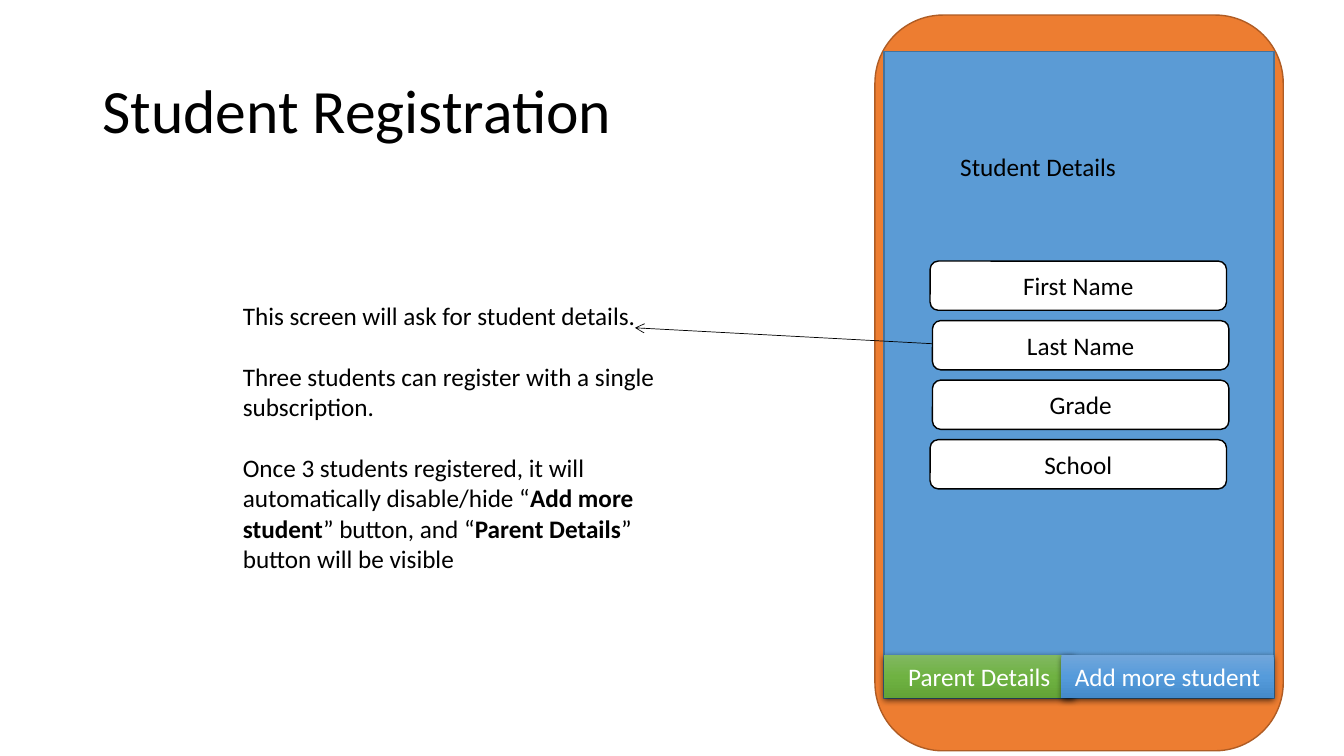
from dataclasses import dataclass

from lxml.etree import SubElement
from pptx import Presentation
from pptx.dml.color import RGBColor
from pptx.enum.shapes import MSO_CONNECTOR, MSO_SHAPE
from pptx.enum.text import MSO_ANCHOR, PP_ALIGN
from pptx.oxml.ns import qn
from pptx.util import Cm, Pt


@dataclass(frozen=True)
class Theme:
    font: str = "Calibri"
    title_size: int = 44
    body_size: int = 18
    paragraph_gap: int = 22
    black: str = "000000"
    white: str = "FFFFFF"
    phone: str = "ED7D31"
    phone_line: str = "AF5C24"
    screen: str = "5B9BD5"
    screen_line: str = "43739E"
    green: tuple = ("81B861", "6FB242", "62A336")
    blue: tuple = ("71A6DB", "559BDB", "448ACA")


class SlideBuilder:
    def __init__(self, slide, theme):
        self.slide = slide
        self.theme = theme

    def style_text(self, para, size, color):
        para.font.size = Pt(size)
        for span in para.runs:
            span.font.name = self.theme.font
            span.font.size = Pt(size)
            span.font.color.rgb = RGBColor.from_string(color)

    def text(self, place, paragraphs, size, anchor=MSO_ANCHOR.TOP, spacing=None):
        box = self.slide.shapes.add_textbox(*map(Cm, place))
        frame = box.text_frame
        frame.word_wrap = True
        frame.vertical_anchor = anchor
        for index, pieces in enumerate(paragraphs):
            para = frame.paragraphs[0] if index == 0 else frame.add_paragraph()
            if index:
                para.space_before = Pt(self.theme.paragraph_gap)
            if spacing:
                para.line_spacing = spacing
            for position, piece in enumerate(pieces):
                span = para.add_run()
                span.text = piece
                span.font.bold = position % 2 == 1
            self.style_text(para, size, self.theme.black)

    def shape(self, kind, place, fill, line, label="", color=None):
        shape = self.slide.shapes.add_shape(kind, *map(Cm, place))
        shape.shadow.inherit = False
        if fill:
            shape.fill.solid()
            shape.fill.fore_color.rgb = RGBColor.from_string(fill)
        if line:
            shape.line.color.rgb = RGBColor.from_string(line)
            shape.line.width = Pt(1)
        else:
            shape.line.fill.background()
        if label:
            frame = shape.text_frame
            frame.text = label
            frame.word_wrap = True
            frame.vertical_anchor = MSO_ANCHOR.MIDDLE
            para = frame.paragraphs[0]
            para.alignment = PP_ALIGN.CENTER
            self.style_text(para, self.theme.body_size, color)
        return shape

    def button(self, place, label, shades):
        shape = self.shape(MSO_SHAPE.RECTANGLE, place, None, None, label, self.theme.white)
        shape.fill.gradient()
        shape.fill.gradient_angle = 270
        properties = shape.element.spPr
        stops = properties.find(qn("a:gradFill")).find(qn("a:gsLst"))
        for stop in list(stops):
            stops.remove(stop)
        for index, shade in enumerate(shades):
            stop = SubElement(stops, qn("a:gs"), pos=str(index * 50000))
            SubElement(stop, qn("a:srgbClr"), val=shade)
        shadow = SubElement(
            properties.find(qn("a:effectLst")), qn("a:outerShdw"),
            blurRad=str(Pt(4.5)), dist=str(Pt(1.5)), dir="5400000",
            algn="ctr", rotWithShape="0",
        )
        tint = SubElement(shadow, qn("a:srgbClr"), val=self.theme.black)
        SubElement(tint, qn("a:alpha"), val="63000")

    def arrow(self, start, end):
        connector = self.slide.shapes.add_connector(
            MSO_CONNECTOR.STRAIGHT, *map(Cm, start + end)
        )
        connector.line.color.rgb = RGBColor.from_string(self.theme.black)
        connector.line.width = Pt(0.5)
        SubElement(connector.line._get_or_add_ln(), qn("a:tailEnd"), type="arrow")
        SubElement(connector.element.spPr, qn("a:effectLst"))


def main():
    deck = Presentation()
    deck.slide_width, deck.slide_height = Cm(33.87), Cm(19.05)
    theme = Theme()
    page = SlideBuilder(deck.slides.add_slide(deck.slide_layouts[6]), theme)

    page.text((2.33, 1.01, 29.21, 3.68), [["Student Registration"]],
              theme.title_size, MSO_ANCHOR.MIDDLE, 0.9)
    page.shape(MSO_SHAPE.ROUNDED_RECTANGLE, (22.05, 0.38, 10.29, 18.54),
               theme.phone, theme.phone_line)
    page.shape(MSO_SHAPE.RECTANGLE, (22.28, 1.3, 9.83, 16.31),
               theme.screen, theme.screen_line)
    notes = [
        ["This screen will ask for student details."],
        ["Three students can register with a single subscription."],
        ["Once 3 students registered, it will automatically disable/hide “",
         "Add more student", "” button, and “", "Parent Details",
         "” button will be visible"],
    ]
    page.text((5.87, 7.44, 11.05, 7.19), notes, theme.body_size)
    page.arrow((24.41, 8.71), (16, 8.26))
    page.text((23.95, 3.68, 6.45, 1.02), [["Student Details"]], theme.body_size)

    fields = [("First Name", 23.44), ("Last Name", 23.5), ("Grade", 23.5), ("School", 23.44)]
    for row, (label, left) in enumerate(fields):
        page.shape(MSO_SHAPE.ROUNDED_RECTANGLE, (left, 6.58 + row * 1.5, 7.47, 1.24),
                   theme.white, theme.black, label, theme.black)

    page.button((22.28, 16.51, 4.8, 1.09), "Parent Details", theme.green)
    page.button((26.75, 16.51, 5.35, 1.09), "Add more student", theme.blue)
    deck.save("out.pptx")


if __name__ == "__main__":
    main()
